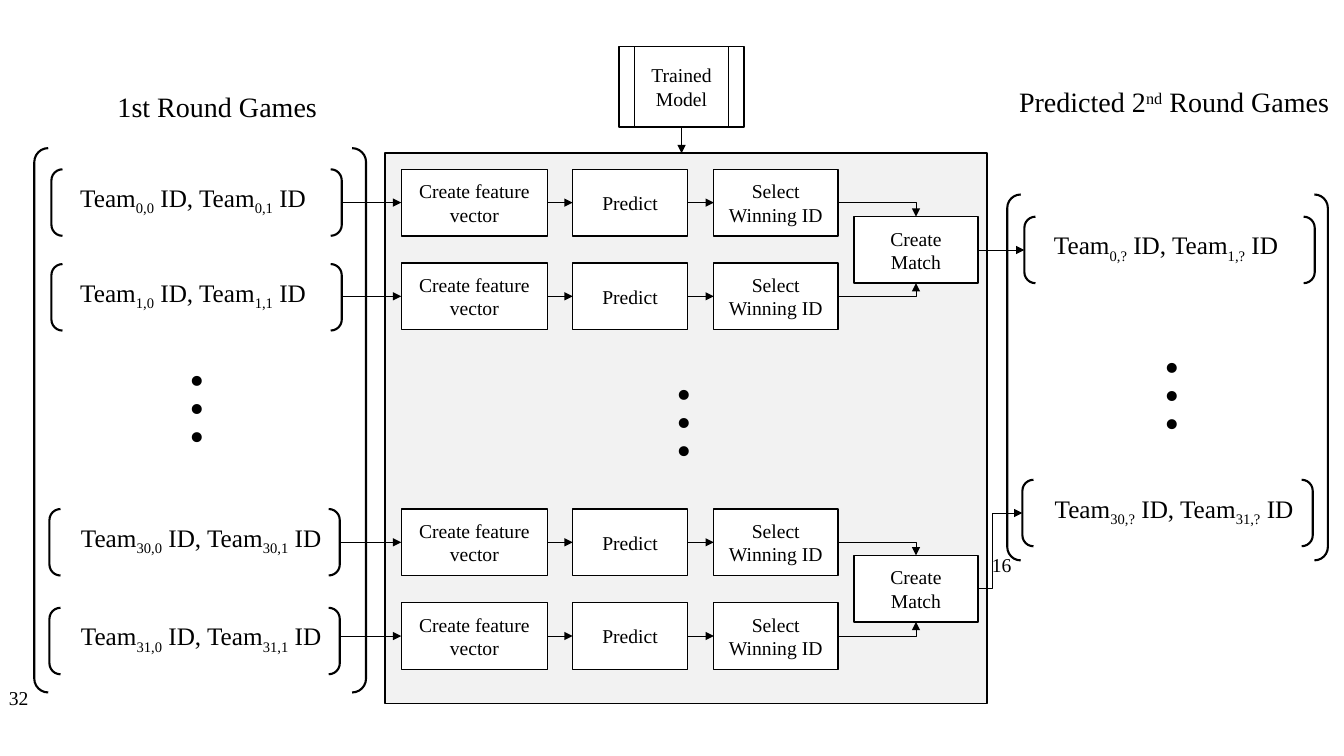
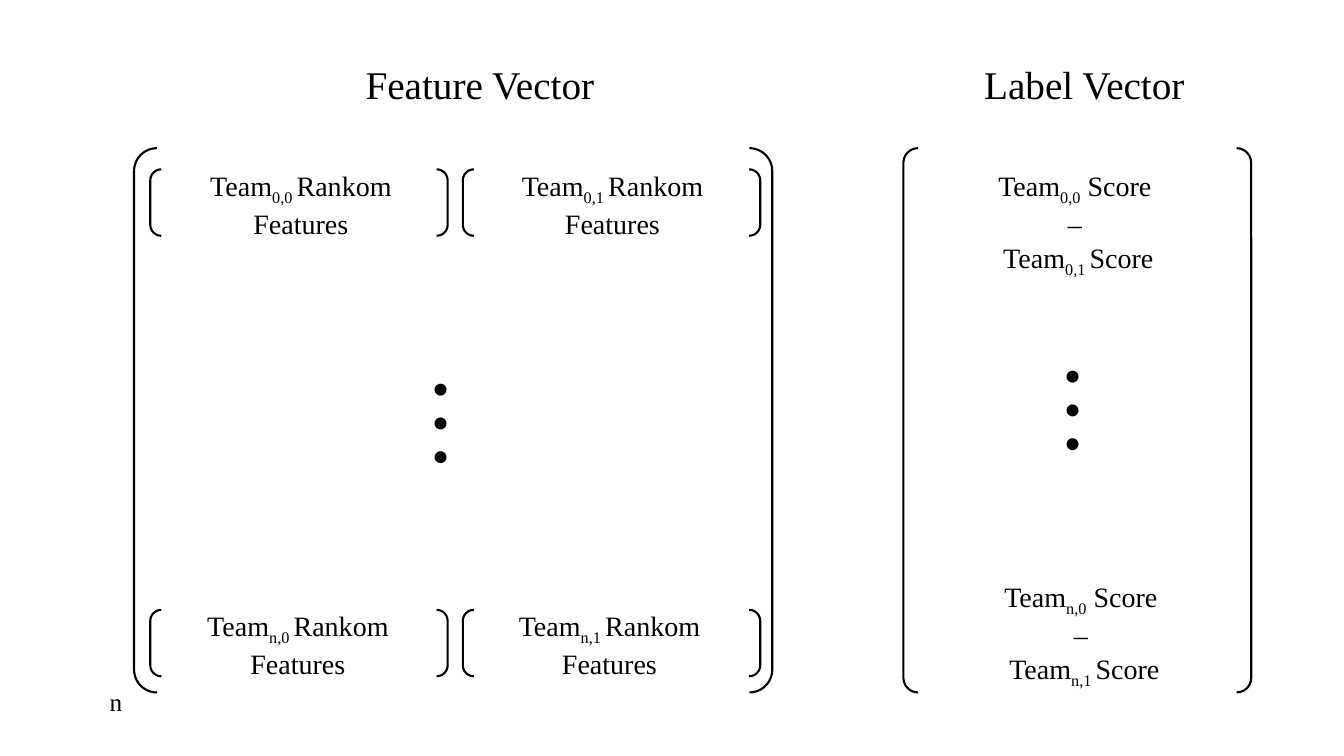
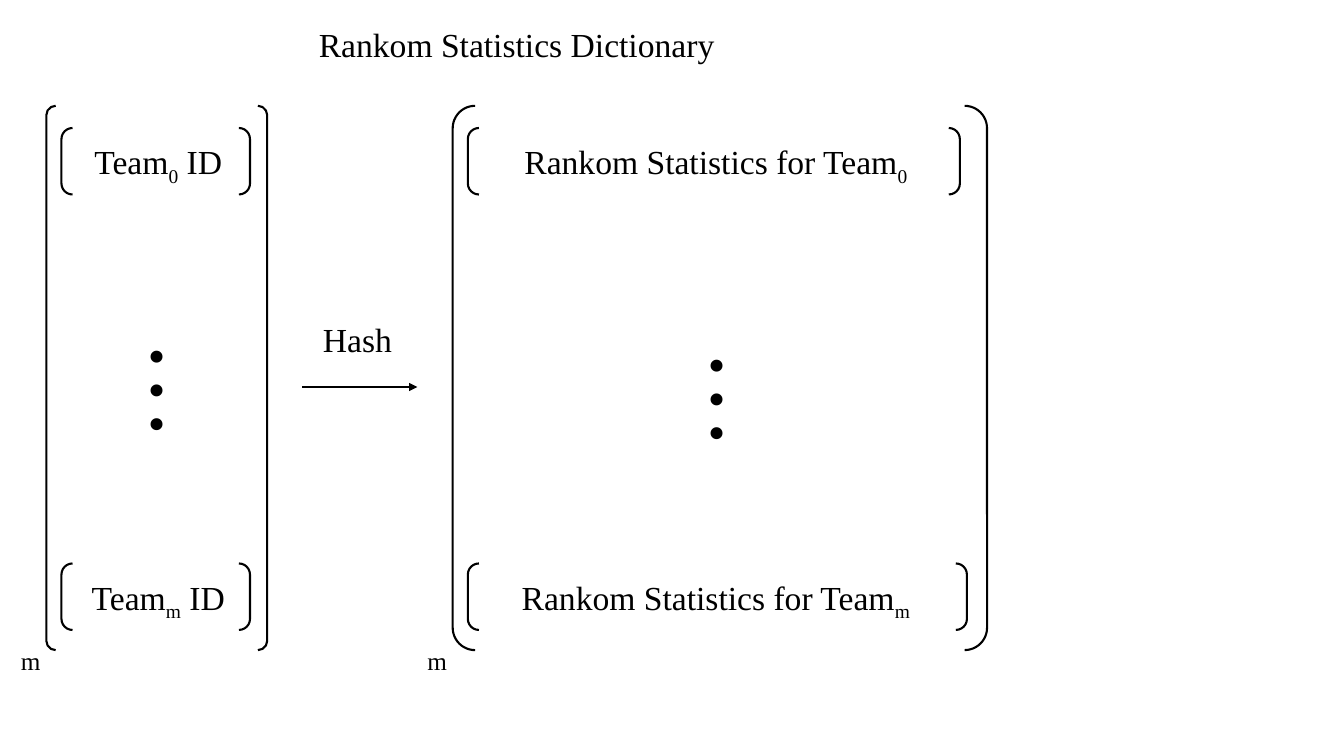
from dataclasses import dataclass

from lxml import etree
from pptx import Presentation
from pptx import util as u
from pptx.dml import color
from pptx.enum import shapes, text
from pptx.oxml import ns

Inches = u.Inches
SHAPE = shapes.MSO_SHAPE
TOP, LEFT, BOTTOM, RIGHT = range(4)


@dataclass(frozen=True)
class Theme:
    font: str = "Times New Roman"
    ink: color.RGBColor = color.RGBColor(0, 0, 0)
    paper: color.RGBColor = color.RGBColor(255, 255, 255)
    panel: color.RGBColor = color.RGBColor(0xF2, 0xF2, 0xF2)
    step: int = 14
    index: int = 18
    label: int = 20
    entry: int = 24
    heading: int = 28
    thin: float = 0.5
    outline: float = 1
    bracket: float = 1.5


T = Theme()


def inches(*values):
    return [Inches(v) for v in values]


def write(tf, lines, size, align=text.PP_ALIGN.CENTER):
    """Braces hold a subscript; a caret inside them makes it a superscript."""
    tf.word_wrap = True
    for i, line in enumerate(lines.split("\n")):
        p = tf.paragraphs[0] if i == 0 else tf.add_paragraph()
        p.alignment = align
        p.font.name = T.font
        p.font.size = u.Pt(size)
        p.font.color.rgb = T.ink
        for j, piece in enumerate(line.replace("}", "{").split("{")):
            if not piece:
                continue
            r = p.add_run()
            r.text = piece.lstrip("^")
            if j % 2:
                baseline = "30000" if piece.startswith("^") else "-25000"
                r.font._element.set("baseline", baseline)


def label(s, at, words, size, align=text.PP_ALIGN.CENTER):
    sp = s.shapes.add_textbox(*inches(*at))
    write(sp.text_frame, words, size, align)
    sp.text_frame.auto_size = text.MSO_AUTO_SIZE.SHAPE_TO_FIT_TEXT
    return sp


def heading(s, at, words, size):
    sp = s.shapes.title
    sp.left, sp.top, sp.width, sp.height = inches(*at)
    sp.text_frame.auto_size = text.MSO_AUTO_SIZE.NONE
    sp.text_frame.vertical_anchor = text.MSO_ANCHOR.TOP
    write(sp.text_frame, words, size)


def count(s, x, y, words, size=T.index):
    label(s, (x, y, 0.5, 0.4), words, size, text.PP_ALIGN.LEFT)


def dots(s, x, y, size=72):
    w, h = 3.42, 1.11 if size == 60 else 1.31
    label(s, (x - w / 2, y - h / 2, w, h), "…", size).rotation = 90


def outlined(s, kind, at, weight, fill=None):
    sp = s.shapes.add_shape(kind, *inches(*at))
    sp.shadow.inherit = False
    sp.line.color.rgb = T.ink
    sp.line.width = u.Pt(weight)
    if fill is None:
        sp.fill.background()
    else:
        sp.fill.solid()
        sp.fill.fore_color.rgb = fill
    return sp


def bracket(s, at):
    return outlined(s, SHAPE.DOUBLE_BRACKET, at, T.bracket)


def vector(s, at):
    bracket(s, at).adjustments[0] = 0.042


def step(s, at, words, kind=SHAPE.FLOWCHART_PROCESS):
    sp = outlined(s, kind, at, T.outline, T.paper)
    sp.text_frame.vertical_anchor = text.MSO_ANCHOR.MIDDLE
    write(sp.text_frame, words, T.step)
    return sp


def arrow(s, start, end, weight=T.thin, kind=shapes.MSO_CONNECTOR.STRAIGHT):
    c = s.shapes.add_connector(kind, *start, *end)
    c.line.color.rgb = T.ink
    c.line.width = u.Pt(weight)
    tail = etree.SubElement(c.line._get_or_add_ln(), ns.qn("a:tailEnd"))
    tail.set("type", "triangle")
    etree.SubElement(c._element.spPr, ns.qn("a:effectLst"))
    return c


def port(sp, side):
    x = {LEFT: 0, RIGHT: sp.width}.get(side, sp.width // 2)
    y = {TOP: 0, BOTTOM: sp.height}.get(side, sp.height // 2)
    return sp.left + x, sp.top + y


def link(s, a, b, side=LEFT, preset=None, bend=None):
    kinds = shapes.MSO_CONNECTOR
    kind = kinds.ELBOW if preset else kinds.STRAIGHT
    c = arrow(s, port(a, RIGHT), port(b, side), kind=kind)
    c.begin_connect(a, RIGHT)
    c.end_connect(b, side)
    if preset:
        geometry = c._element.spPr.find(ns.qn("a:prstGeom"))
        geometry.set("prst", preset)
        if bend:
            guides = geometry.find(ns.qn("a:avLst"))
            guide = etree.SubElement(guides, ns.qn("a:gd"))
            guide.set("name", "adj1")
            guide.set("fmla", f"val {bend}")


def game_row(s, game, x, bracket_y, y, text_w):
    bracket(s, (x, bracket_y, 2.88, 0.66))
    words = f"Team{{{game},0}} ID, Team{{{game},1}} ID"
    label(s, (0.61, bracket_y + 0.08, text_w, 0.4), words, T.index)
    create = step(s, (3.98, y, 1.45, 0.66), "Create feature vector")
    predict = step(s, (5.68, y, 1.14, 0.66), "Predict")
    select = step(s, (7.08, y, 1.23, 0.66), "Select Winning ID")
    arrow(s, inches(x + 2.88, y + 0.33), port(create, LEFT))
    link(s, create, predict)
    link(s, predict, select)
    return select


def match(s, first, second, y):
    sp = step(s, (8.47, y, 1.23, 0.66), "Create Match")
    link(s, first, sp, TOP, "bentConnector2")
    link(s, second, sp, BOTTOM, "bentConnector2")
    return sp


def predicted_game(s, x, y, text_w, first, second):
    words = f"Team{{{first},?}} ID, Team{{{second},?}} ID"
    label(s, (10.26, y + 0.08, text_w, 0.4), words, T.index)
    return bracket(s, (x, y, 2.88, 0.66))


def rounds_slide(s):
    heading(s, (0.51, 0.84, 3.29, 0.44), "1st Round Games", T.label)
    label(s, (10, 0.79, 3.29, 0.77), "Predicted 2{^nd} Round Games", T.label)
    outlined(s, SHAPE.FLOWCHART_PROCESS, (3.82, 1.52, 5.97, 5.46),
             T.outline, T.panel)
    model = step(s, (6.14, 0.46, 1.24, 0.8), "Trained Model",
                 SHAPE.FLOWCHART_PREDEFINED_PROCESS)
    x, y = port(model, BOTTOM)
    arrow(s, (x, y), (x, Inches(1.52)))

    vector(s, (0.34, 1.47, 3.29, 5.4))
    vector(s, (9.99, 1.93, 3.18, 3.63))
    winners = [game_row(s, *row) for row in (
        (0, 0.51, 1.68, 1.68, 2.61),
        (1, 0.51, 2.62, 2.61, 2.61),
        (30, 0.49, 5.05, 5.05, 2.77),
        (31, 0.49, 6.03, 5.98, 2.77),
    )]
    upper = match(s, *winners[:2], 2.15)
    lower = match(s, *winners[2:], 5.51)
    link(s, upper, predicted_game(s, 10.16, 2.15, 2.61, 0, 1))
    link(s, lower, predicted_game(s, 10.14, 4.76, 2.77, 30, 31),
         preset="bentConnector3", bend=31500)

    for x, y in ((2.25, 4.06), (7.08, 4.2), (11.92, 3.93)):
        dots(s, x, y, 60)
    count(s, -0.01, 6.76, "32", T.step)
    count(s, 9.74, 5.44, "16", T.step)


def vectors_slide(s):
    heading(s, (3.34, 0.55, 2.84, 0.57), "Feature Vector", T.heading)
    label(s, (9.5, 0.55, 2.51, 0.57), "Label Vector", T.heading)
    vector(s, (1.33, 1.47, 6.33, 5.4))
    vector(s, (8.96, 1.47, 3.45, 5.4))
    for game, y, text_x, score_x, score_y in (
        ("0", 1.68, 1.61, 9.14, 1.62),
        ("n", 6.05, 1.58, 9.2, 5.7),
    ):
        for team in range(2):
            bracket(s, (1.49 + 3.1 * team, y, 2.95, 0.66))
            label(s, (text_x + 3.09 * team, y - 0.06, 2.75, 0.77),
                  f"Team{{{game},{team} }}Rankom Features", T.label)
        label(s, (score_x, score_y, 3.11, 1.11),
              f"Team{{{game},0}} Score \n– \nTeam{{{game},1 }}Score", T.label)
    dots(s, 4.72, 4.21)
    dots(s, 10.99, 4.08)
    count(s, 0.99, 6.76, "n")


def dictionary_slide(s):
    heading(s, (0.46, 0.19, 9.33, 0.5), "Rankom Statistics Dictionary", T.entry)
    vector(s, (0.46, 1.05, 2.19, 5.4))
    vector(s, (4.49, 1.05, 5.3, 5.4))
    for team, y, width in (("0", 1.27, 4.88), ("m", 5.59, 4.95)):
        bracket(s, (0.61, y, 1.87, 0.66))
        label(s, (0.73, y + 0.08, 1.68, 0.5), f"Team{{{team}}} ID", T.entry)
        bracket(s, (4.64, y, width, 0.66))
        label(s, (4.76, y + 0.08, 4.68, 0.5),
              f"Rankom Statistics for Team{{{team}}}", T.entry)
    label(s, (2.95, 3.11, 1.19, 0.5), "Hash", T.entry)
    arrow(s, inches(3, 3.84), inches(4.14, 3.84), T.bracket)
    dots(s, 1.91, 3.88)
    dots(s, 7.46, 3.97)
    for x in (0.11, 4.14):
        count(s, x, 6.35, "m")


def main():
    prs = Presentation()
    prs.slide_width, prs.slide_height = inches(13.33, 7.5)
    for build in (rounds_slide, vectors_slide, dictionary_slide):
        build(prs.slides.add_slide(prs.slide_layouts[5]))
    prs.save("out.pptx")


main()
